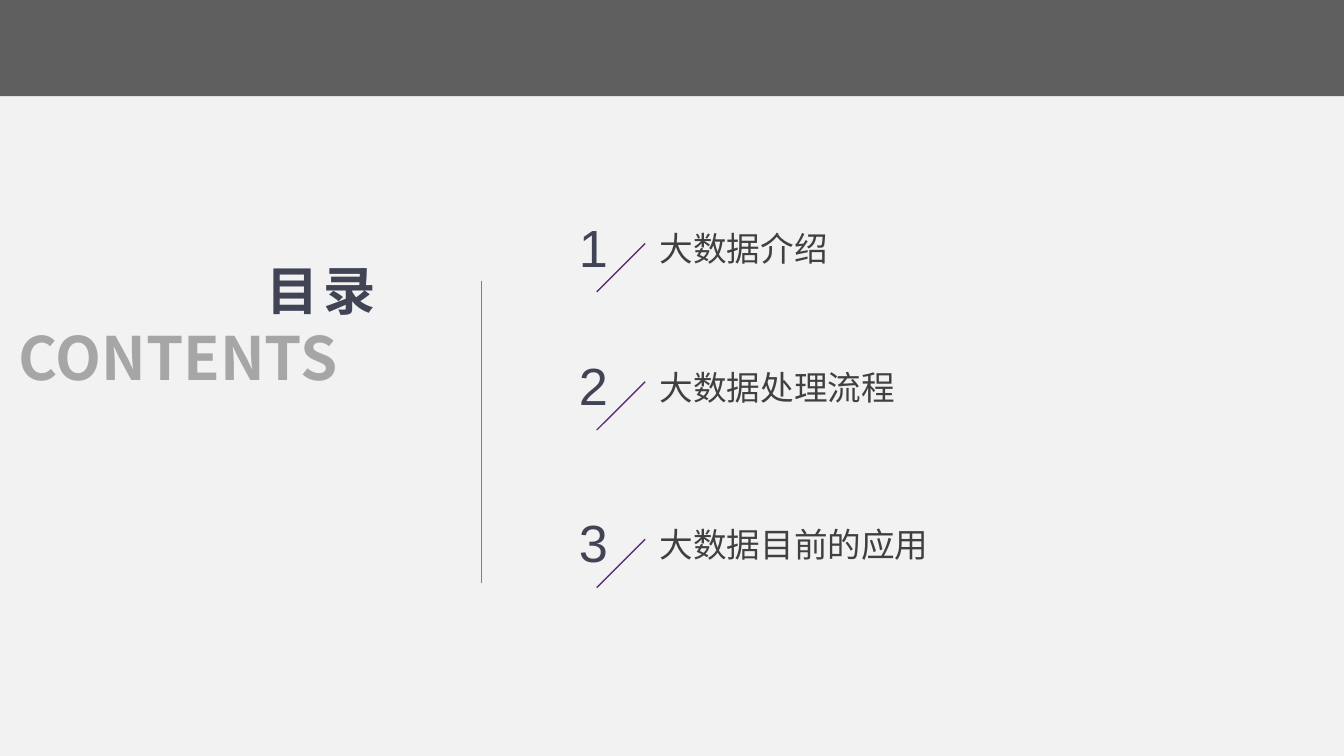
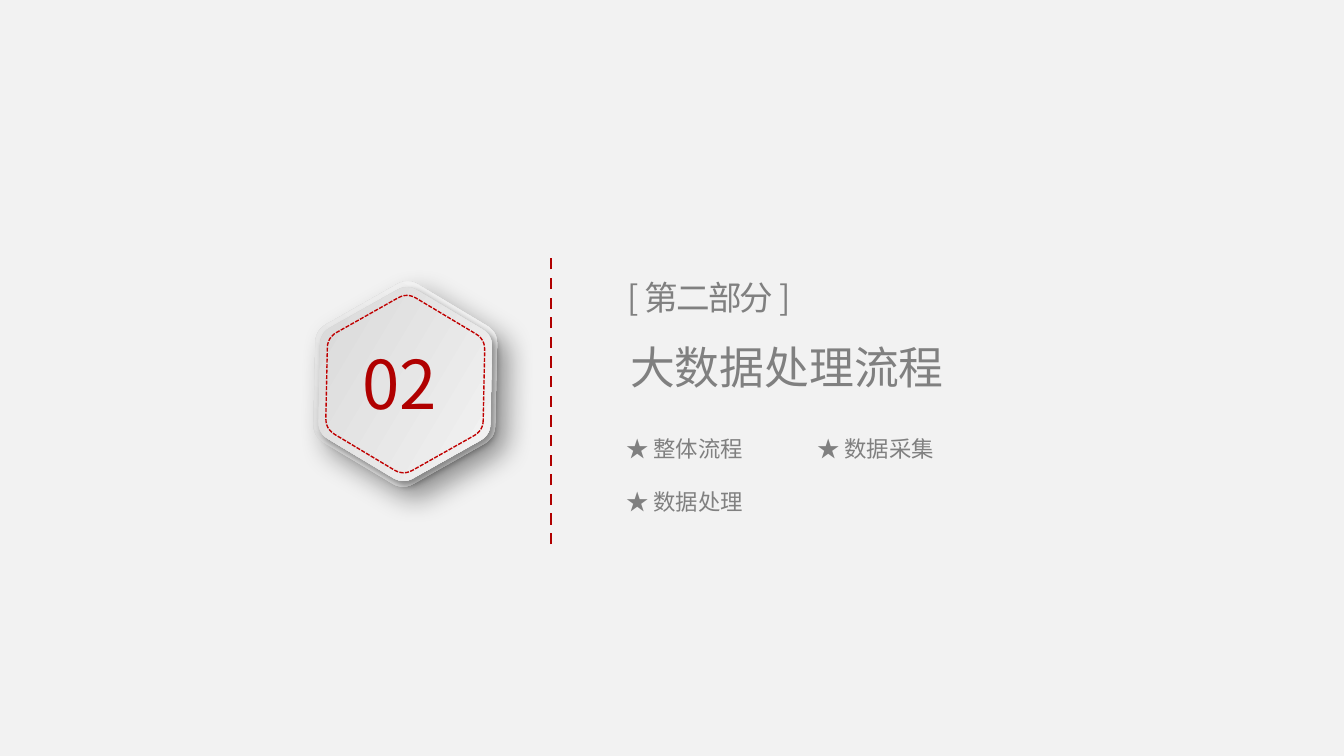
from math import cos, radians, sin, sqrt

from lxml.etree import SubElement
from pptx import Presentation
from pptx.dml.color import RGBColor
from pptx.enum.dml import MSO_LINE
from pptx.enum.shapes import MSO_CONNECTOR, MSO_SHAPE
from pptx.enum.text import MSO_ANCHOR, MSO_AUTO_SIZE, PP_ALIGN
from pptx.oxml.ns import qn
from pptx.util import Pt

CJK = "Noto Sans CJK SC"
BACKGROUND, BAND = "F2F2F2", "5F5F5F"
NAVY, DARK, GREY, PALE = "414455", "404040", "808080", "A6A6A6"
PURPLE, RED, BRIGHT_RED = "5C307D", "B00000", "C00000"
WIDE, TIGHT = (7.2, 3.6), (5, 2.2)
CENTER, TILT = (217.1, 205.8), 30.9


def rgb(value):
    """Turn a hex string into a colour."""
    return RGBColor.from_string(value)


def set_text(sp, text, size=18, color=GREY, font=CJK, bold=False,
             align=PP_ALIGN.LEFT, spacing=None, wrap=True, inset=WIDE):
    """Write one formatted line of text into a shape."""
    tf = sp.text_frame
    tf.word_wrap = wrap
    tf.auto_size = MSO_AUTO_SIZE.SHAPE_TO_FIT_TEXT
    tf.vertical_anchor = MSO_ANCHOR.TOP
    tf.margin_left = tf.margin_right = Pt(inset[0])
    tf.margin_top = tf.margin_bottom = Pt(inset[1])
    p = tf.paragraphs[0]
    p.alignment = align
    r = p.add_run()
    r.text = text
    r.font.size, r.font.bold, r.font.name = Pt(size), bold, font
    r.font.color.rgb = rgb(color)
    r_pr = r.font._element
    SubElement(r_pr, qn("a:ea")).set("typeface", font)
    if spacing is not None:
        r_pr.set("spc", str(spacing * 100))


def add_text(shapes, text, x, y, w, h, **fmt):
    """Add a text box."""
    set_text(shapes.add_textbox(Pt(x), Pt(y), Pt(w), Pt(h)), text, **fmt)


def add_title(s, text, x, y, w, h, **fmt):
    """Move and fill the title placeholder."""
    sp = s.shapes.title
    sp.left, sp.top, sp.width, sp.height = Pt(x), Pt(y), Pt(w), Pt(h)
    set_text(sp, text, **fmt)


def set_line(line, color, width, dash=None):
    """Format a line or outline."""
    line.color.rgb, line.width = rgb(color), Pt(width)
    if dash:
        line.dash_style = dash


def add_line(shapes, x1, y1, x2, y2, color, width=0.75, dash=None):
    """Add a straight line without a shadow."""
    c = shapes.add_connector(MSO_CONNECTOR.STRAIGHT, Pt(x1), Pt(y1), Pt(x2), Pt(y2))
    set_line(c.line, color, width, dash)
    SubElement(c._element.spPr, qn("a:effectLst"))


def rounded_hexagon(w, h, cut=0.115, steps=6):
    """Return the outline of a hexagon with rounded corners."""
    corners = [(cos(radians(a)), sin(radians(a))) for a in range(0, 360, 60)]
    points = []
    for i, corner in enumerate(corners):
        before, after = corners[i - 1], corners[(i + 1) % 6]
        start, end = ([c + cut * (n - c) for c, n in zip(corner, near)]
                      for near in (before, after))
        for k in range(steps + 1):
            t = k / steps
            points.append([(1 - t) ** 2 * a + 2 * t * (1 - t) * c + t * t * b
                           for a, c, b in zip(start, corner, end)])
    sx, sy = w / (2 - cut / 2), h / sqrt(3)
    return [(Pt(CENTER[0] + x * sx), Pt(CENTER[1] + y * sy)) for x, y in points]


def add_hexagon(shapes, w, h):
    """Add a tilted rounded hexagon around the badge centre."""
    points = rounded_hexagon(w, h)
    builder = shapes.build_freeform(*points[0])
    builder.add_line_segments(points[1:], close=True)
    sp = builder.convert_to_shape()
    sp.rotation = TILT
    sp.shadow.inherit = False
    return sp


def add_plate(shapes, w, h, angle, blur, dist):
    """Add a hexagon with a grey gradient and a soft shadow."""
    sp = add_hexagon(shapes, w, h)
    sp.fill.gradient()
    sp.fill.gradient_angle = angle
    for stop, color in zip(sp.fill.gradient_stops, ("D3D3D3", "F9F9F9")):
        stop.color.rgb = rgb(color)
    sp.line.fill.background()
    effects = sp._element.spPr.find(qn("a:effectLst"))
    shadow = SubElement(effects, qn("a:outerShdw"), blurRad=str(Pt(blur)),
                        dist=str(Pt(dist)), dir="2700000", algn="tl", rotWithShape="0")
    color = SubElement(shadow, qn("a:srgbClr"), val="000000")
    SubElement(color, qn("a:alpha"), val="40000")


def add_agenda_item(s, number, text, y, w):
    """Add a group of number, slash and topic."""
    shapes = s.shapes.add_group_shape().shapes
    add_text(shapes, text, 346.3, y + 7.2, w, 29, color=DARK, wrap=False)
    add_text(shapes, number, 303.1, y, 28.8, 41, size=28, color=NAVY,
             font="Arial", align=PP_ALIGN.CENTER, wrap=False)
    add_line(shapes, 345.6, y + 18.9, 319.7, y + 44.8, PURPLE)


def build_contents(s):
    """Build the contents slide."""
    add_title(s, "目录", 135.4, 134.6, 77, 41, size=28, color=NAVY,
              bold=True, spacing=3, wrap=False)
    add_text(s.shapes, "CONTENTS", 2.9, 168.5, 232.6, 46, size=32, color=PALE, bold=True)
    add_line(s.shapes, 257.8, 150.5, 257.8, 312.5, GREY)
    band = s.shapes.add_shape(MSO_SHAPE.RECTANGLE, 0, 0, Pt(720), Pt(51.6))
    band.shadow.inherit = False
    band.fill.solid()
    band.fill.fore_color.rgb = rgb(BAND)
    band.line.fill.background()
    add_agenda_item(s, "1", "大数据介绍", 111.6, 105)
    add_agenda_item(s, "2", "大数据处理流程", 185.6, 142)
    add_agenda_item(s, "3", "大数据目前的应用", 270, 160)


def build_section(s):
    """Build the section slide."""
    add_plate(s.shapes, 108.7, 98.6, 90, 15, 9)
    add_plate(s.shapes, 103, 92.9, 0, 4, 3)
    rim = add_hexagon(s.shapes, 94.3, 85)
    rim.fill.background()
    set_line(rim.line, BRIGHT_RED, 0.75, MSO_LINE.SQUARE_DOT)
    add_text(s.shapes, "02", 187.2, 180, 59.8, 51, size=36, color=RED)
    add_line(s.shapes, 295.2, 291.6, 295.2, 134.6, RED, 1.5, MSO_LINE.DASH)
    add_text(s.shapes, "[ 第二部分 ]", 331.2, 146.2, 121, 26.6, spacing=-1, inset=TIGHT)
    add_title(s, "大数据处理流程", 332.6, 180, 208.8, 33.8, size=24, inset=TIGHT)
    for topic, x, y in (("整体流程", 330.5, 230.8), ("数据采集", 432.7, 230.8),
                        ("数据处理", 330.5, 259.2)):
        add_text(s.shapes, f"★ {topic}", x, y, 107.3, 19.4, size=12, inset=TIGHT)


def main():
    """Build and save the presentation."""
    prs = Presentation()
    prs.slide_width, prs.slide_height = Pt(720), Pt(405)
    fill = prs.slide_master.background.fill
    fill.solid()
    fill.fore_color.rgb = rgb(BACKGROUND)
    for build in (build_contents, build_section):
        build(prs.slides.add_slide(prs.slide_layouts[5]))
    prs.save("out.pptx")


if __name__ == "__main__":
    main()
